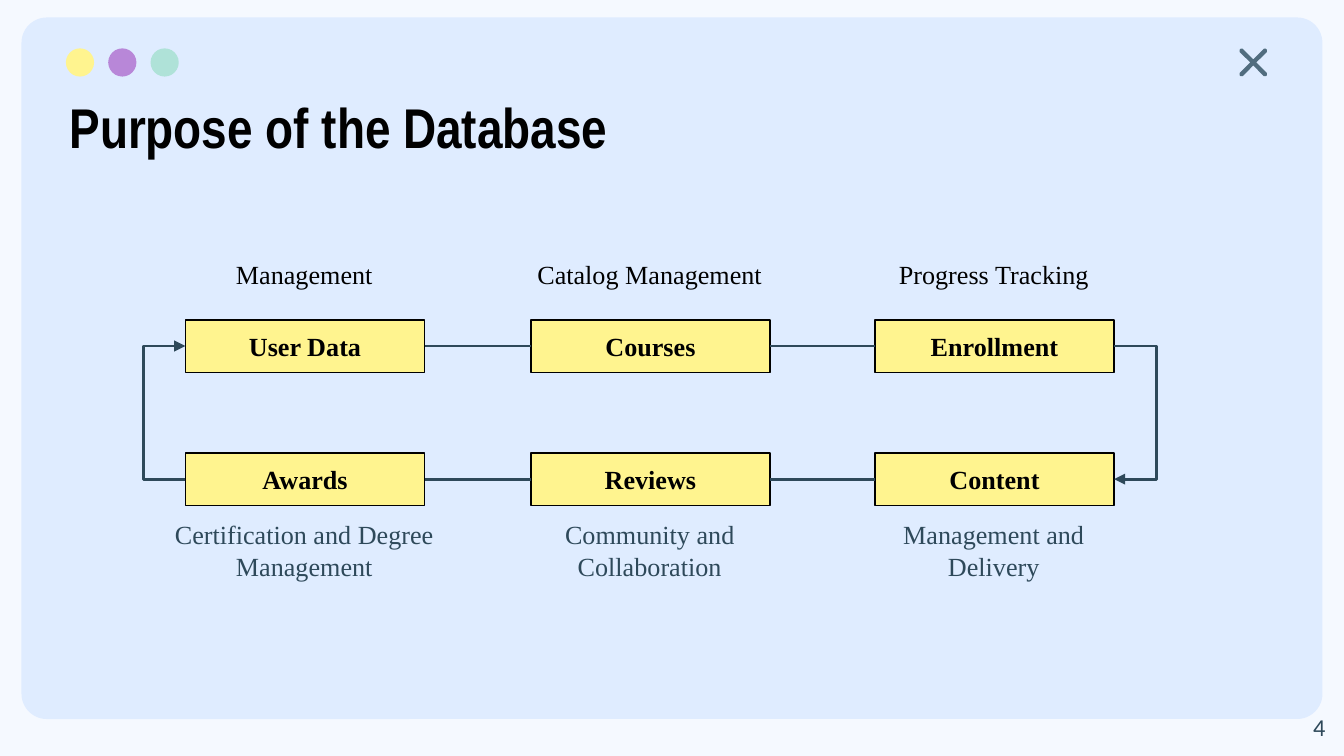
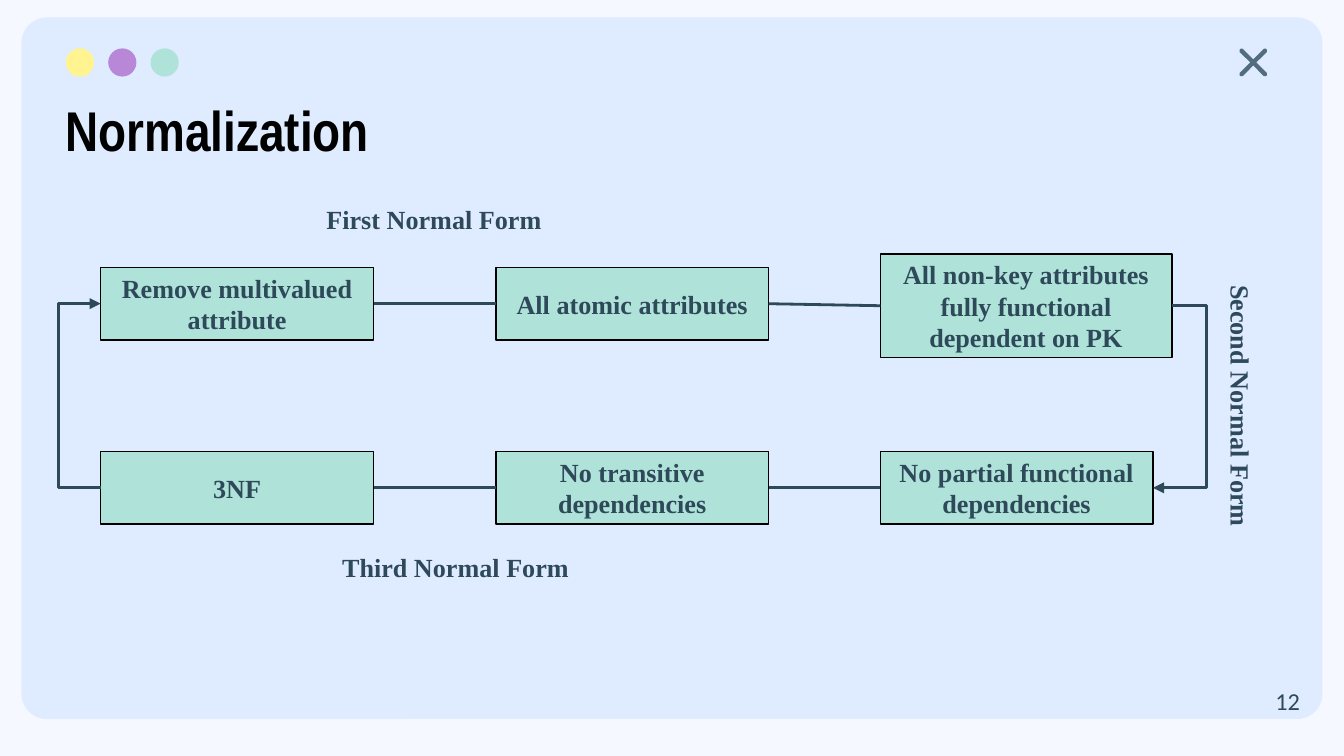
"""Build two slides that each show a six-step loop of boxes."""
from lxml import etree
from pptx import Presentation, util as u
from pptx.dml.color import RGBColor
from pptx.enum import shapes, text
from pptx.oxml import ns

C = {"page": "F5F9FF", "panel": "DFECFF", "yellow": "FFF48F", "purple": "B887D8",
     "mint": "AFE2D8", "cross": "516D7F", "ink": "2E495A", "black": "000000"}
SERIF = "Times New Roman"
LEFT, CENTER, RIGHT = text.PP_ALIGN.LEFT, text.PP_ALIGN.CENTER, text.PP_ALIGN.RIGHT
TOP, MIDDLE = text.MSO_ANCHOR.TOP, text.MSO_ANCHOR.MIDDLE
RECT = shapes.MSO_SHAPE.RECTANGLE

prs = Presentation()
prs.slide_width = u.Inches(10)
prs.slide_height = prs.slide_width * 9 // 16
cell = prs.slide_width // 10
loop_out = int(0.26 * cell)


def add(s, at, kind=None, fill=None, line=None, width=0.75):
    """Add a text box, or a preset shape when a kind is given, in grid cells."""
    at = [round(v * cell) for v in at]
    if kind is None:
        return s.shapes.add_textbox(*at)
    sp = s.shapes.add_shape(kind, *at)
    sp.shadow.inherit = False
    sp.fill.solid()
    sp.fill.fore_color.rgb = RGBColor.from_string(C[fill])
    if line:
        sp.line.color.rgb = RGBColor.from_string(C[line])
        sp.line.width = u.Pt(width)
    else:
        sp.line.fill.background()
    return sp


def write(sp, words, ink, bold=False, align=CENTER, anchor=TOP, font=SERIF, size=14):
    """Fill a shape with formatted text."""
    tf = sp.text_frame
    tf.word_wrap = True
    tf.vertical_anchor = anchor
    tf.margin_left = tf.margin_right = tf.margin_top = tf.margin_bottom = u.Inches(0.1)
    tf.text = words
    for p in tf.paragraphs:
        p.alignment = align
        for r in p.runs:
            r.font.name, r.font.size, r.font.bold = font, u.Pt(size), bold
            r.font.color.rgb = RGBColor.from_string(C[ink])


cols, top, bottom = [1.38, 3.95, 6.51], 2.38, 3.37
label_cols = [x - 0.2 for x in cols]
nf_cols, nf_top, nf_bottom = [0.75, 3.69, 6.55], 1.99, 3.36

decks = [
    {"title": "Purpose of the Database", "title_at": (0.42, 0.59),
     "number": "4", "number_at": (9.36, 5.19),
     "fill": "yellow", "ink": "black", "label_bold": False,
     "boxes": [(t, x, y, 1.78, 0.39) for t, x, y in zip(
         ["User Data", "Courses", "Enrollment", "Content", "Reviews", "Awards"],
         cols + cols[::-1], [top] * 3 + [bottom] * 3)],
     "labels": [(t, x, y, 2.17, 0.56, 0, ink) for t, x, y, ink in zip(
         ["Management", "Catalog Management", "Progress Tracking",
          "Management and\nDelivery", "Community and Collaboration",
          "Certification and Degree Management"],
         label_cols + label_cols[::-1], [1.82] * 3 + [3.76] * 3,
         ["black"] * 3 + ["ink"] * 3)]},
    {"title": "Normalization", "title_at": (0.39, 0.61),
     "number": "12", "number_at": (9.17, 5),
     "fill": "mint", "ink": "ink", "label_bold": True,
     "boxes": [("Remove multivalued attribute", nf_cols[0], nf_top, 2.03, 0.54),
               ("All atomic attributes", nf_cols[1], nf_top, 2.03, 0.54),
               ("All non-key attributes fully functional dependent on PK",
                nf_cols[2], 1.89, 2.17, 0.77),
               ("No partial functional dependencies", nf_cols[2], nf_bottom, 2.03, 0.54),
               ("No transitive dependencies", nf_cols[1], nf_bottom, 2.03, 0.54),
               ("3NF", nf_cols[0], nf_bottom, 2.03, 0.54)],
     "labels": [("First Normal Form", 1.99, 1.41, 2.48, 0.77, 0, "ink"),
                ("Second Normal Form", 7.63, 2.7, 3, 0.64, 90, "ink"),
                ("Third Normal Form", 2.15, 4, 2.48, 0.77, 0, "ink")]},
]

for d in decks:
    s = prs.slides.add_slide(prs.slide_layouts[6])
    s.background.fill.solid()
    s.background.fill.fore_color.rgb = RGBColor.from_string(C["page"])

    panel = add(s, (0.16, 0.13, 9.68, 5.22), shapes.MSO_SHAPE.ROUNDED_RECTANGLE, "panel")
    panel.adjustments[0] = 0.036
    for i, dot in enumerate(["yellow", "purple", "mint"]):
        add(s, (0.49 + 0.315 * i, 0.36, 0.21, 0.21), shapes.MSO_SHAPE.OVAL, dot)
    cross = add(s, (9.15, 0.29, 0.35, 0.35), shapes.MSO_SHAPE.MATH_MULTIPLY,
                "cross", "cross", 1.5)
    cross.adjustments[0] = 0.031

    write(add(s, (*d["title_at"], 8.43, 0.63)), d["title"], "black", True, LEFT,
          font="Arial Narrow", size=30)

    for words, x, y, w, h, turn, ink in d["labels"]:
        sp = add(s, (x, y, w, h))
        sp.rotation = turn
        write(sp, words, ink, d["label_bold"])

    boxes = []
    for words, *at in d["boxes"]:
        sp = add(s, at, RECT, d["fill"], "black")
        write(sp, words, d["ink"], True, anchor=MIDDLE)
        boxes.append(sp)

    sides = [(3, 1), (3, 1), (3, 3), (1, 3), (1, 3), (1, 1)]
    for i, (out, into) in enumerate(sides):
        bent = out == into
        kind = shapes.MSO_CONNECTOR.ELBOW if bent else shapes.MSO_CONNECTOR.STRAIGHT
        c = s.shapes.add_connector(kind, 0, 0, 0, 0)
        c.begin_connect(boxes[i], out)
        c.end_connect(boxes[(i + 1) % 6], into)
        c.line.color.rgb = RGBColor.from_string(C["ink"])
        c.line.width = u.Pt(1.5)
        pr = c._element.spPr
        if bent:
            c.width = max(c.width, 600)
            inward = (out == 1) != (c.begin_x > c.end_x)
            share = round(loop_out / c.width * 100000) * (-1 if inward else 1)
            guides = pr.find(ns.qn("a:prstGeom")).get_or_add_avLst()
            etree.SubElement(guides, ns.qn("a:gd"), name="adj1", fmla=f"val {share}")
            etree.SubElement(c.line._get_or_add_ln(), ns.qn("a:tailEnd"), type="triangle")
        etree.SubElement(pr, ns.qn("a:effectLst"))

    write(add(s, (*d["number_at"], 0.6, 0.43)), d["number"], "ink", False, RIGHT, MIDDLE,
          "Calibri", 13)

prs.save("out.pptx")
